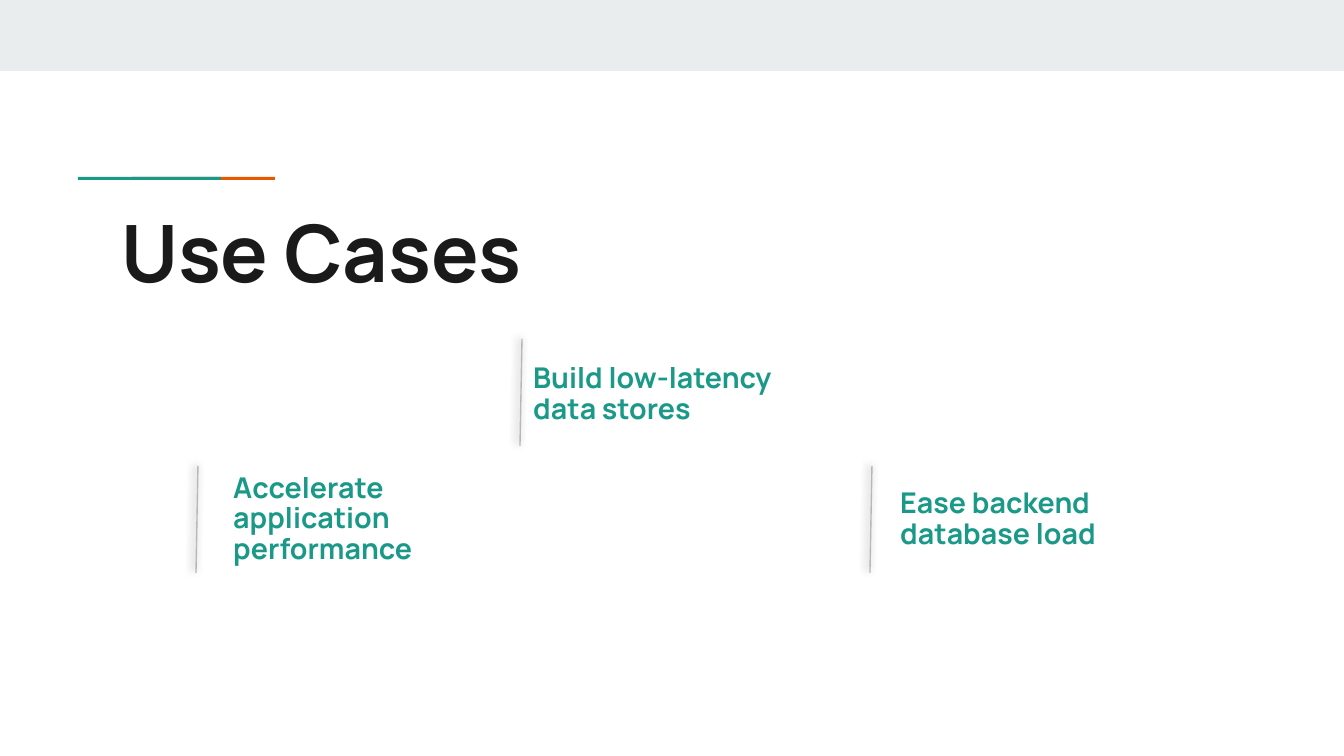
from lxml import etree
from pptx import Presentation
from pptx import util as u
from pptx.dml.color import RGBColor
from pptx.enum import shapes, text
from pptx.oxml.ns import qn

PX = 914400 / 134.4
FONT = "Manrope"
COLORS = {
    "band": "E9EDEE",
    "teal": "1A9988",
    "orange": "EB5600",
    "ink": "1A1A1A",
    "rule": "B7B7B7",
    "shadow": "000000",
}
CASES = [
    ("Accelerate application performance", 220, 491, 198, 466),
    ("Ease backend database load", 887, 491, 872, 466),
    ("Build low-latency data stores", 520, 366, 522, 339),
]


def px(length):
    return u.Emu(round(length * PX))


def color(name):
    return RGBColor.from_string(COLORS[name])


def add_bar(slide, left, top, width, height, fill):
    bar = slide.shapes.add_shape(
        shapes.MSO_SHAPE.RECTANGLE, px(left), px(top), px(width), px(height))
    bar.shadow.inherit = False
    bar.fill.solid()
    bar.fill.fore_color.rgb = color(fill)
    bar.line.fill.background()


def add_text(slide, words, left, top, width, height, size, ink, anchor, spacing):
    box = slide.shapes.add_textbox(px(left), px(top), px(width), px(height))
    frame = box.text_frame
    frame.word_wrap = True
    frame.vertical_anchor = anchor
    frame.margin_left = frame.margin_right = u.Inches(0.1)
    frame.margin_top = frame.margin_bottom = u.Inches(0.1)
    para = frame.paragraphs[0]
    para.text = words
    para.line_spacing = spacing
    para.font.name = FONT
    para.font.size = u.Pt(size)
    para.font.bold = True
    para.font.color.rgb = color(ink)


def add_shadow(line):
    effects = etree.SubElement(line._element.spPr, qn("a:effectLst"))
    shadow = etree.SubElement(
        effects, qn("a:outerShdw"), blurRad=str(u.Pt(4.5)), dist=str(u.Pt(1.5)),
        dir=str(215 * 60000), algn="bl", rotWithShape="0")
    tone = etree.SubElement(shadow, qn("a:srgbClr"), val=COLORS["shadow"])
    etree.SubElement(tone, qn("a:alpha"), val="50000")


def add_rule(slide, left, top):
    rule = slide.shapes.add_connector(
        shapes.MSO_CONNECTOR.STRAIGHT, px(left), px(top), px(left - 2), px(top + 107))
    rule.line.color.rgb = color("rule")
    rule.line.width = u.Pt(0.75)
    add_shadow(rule)


def main():
    deck = Presentation()
    deck.slide_width, deck.slide_height = px(1344), px(756)
    slide = deck.slides.add_slide(deck.slide_layouts[6])
    add_bar(slide, 0, 0, 1344, 71, "band")
    add_bar(slide, 132, 177, 143, 3, "orange")
    add_bar(slide, 78, 177, 143, 3, "teal")
    add_text(slide, "Use Cases", 108, 196, 1130, 99, 42.4, "ink",
             text.MSO_ANCHOR.TOP, 0.96)
    for words, left, top, rule_left, rule_top in CASES:
        add_rule(slide, rule_left, rule_top)
        add_text(slide, words, left, top, 266, 58, 15.3, "teal",
                 text.MSO_ANCHOR.MIDDLE, 0.88)
    deck.save("out.pptx")


if __name__ == "__main__":
    main()
